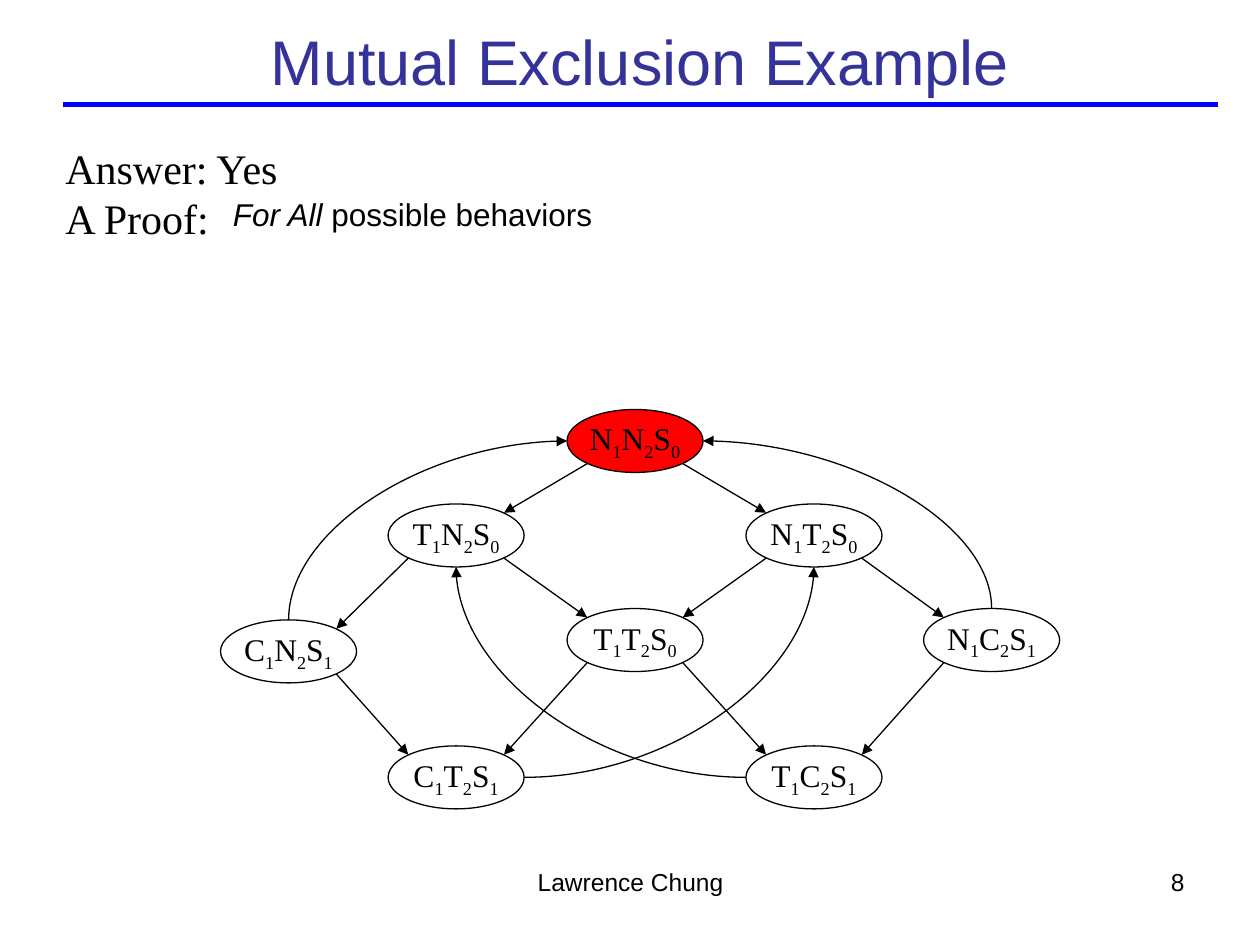
import pptx
import pptx.util
import pptx.dml.color
import pptx.enum.shapes
import pptx.enum.text
import lxml.etree

Inches = pptx.util.Inches
Pt = pptx.util.Pt
RGBColor = pptx.dml.color.RGBColor
KIND = pptx.enum.shapes.MSO_CONNECTOR
OVAL = pptx.enum.shapes.MSO_SHAPE.OVAL
ALIGN = pptx.enum.text.PP_ALIGN
MIDDLE = pptx.enum.text.MSO_ANCHOR.MIDDLE
SIZING = pptx.enum.text.MSO_AUTO_SIZE

BLACK = RGBColor(0, 0, 0)
RED = RGBColor(255, 0, 0)
BLUE = RGBColor(0, 0, 255)
NAVY = RGBColor(0x33, 0x33, 0x99)
SANS, SERIF = "Arial", "Times New Roman"
DRAW = "{http://schemas.openxmlformats.org/drawingml/2006/main}"

NODE_W, NODE_H = 1.08, 0.5
DIAG = 0.71
SITES = [(0, -1), (-DIAG, -DIAG), (-1, 0), (-DIAG, DIAG),
         (0, 1), (DIAG, DIAG), (1, 0), (DIAG, -DIAG)]
NODES = {
    "N1N2S0": (2.75, 0),
    "T1N2S0": (1.33, 0.75),
    "N1T2S0": (4.17, 0.75),
    "C1N2S1": (0, 1.67),
    "T1T2S0": (2.75, 1.58),
    "N1C2S1": (5.58, 1.58),
    "C1T2S1": (1.33, 2.67),
    "T1C2S1": (4.17, 2.67),
}
STEPS = [
    ("N1N2S0", "T1N2S0"), ("N1N2S0", "N1T2S0"),
    ("T1N2S0", "C1N2S1"), ("T1N2S0", "T1T2S0"),
    ("N1T2S0", "T1T2S0"), ("N1T2S0", "N1C2S1"),
    ("C1N2S1", "C1T2S1"), ("T1T2S0", "C1T2S1"),
    ("T1T2S0", "T1C2S1"), ("N1C2S1", "T1C2S1"),
]
RISES = [("C1N2S1", "N1N2S0"), ("N1C2S1", "N1N2S0")]
SWEEPS = [("T1C2S1", "T1N2S0"), ("C1T2S1", "N1T2S0")]


def add_run(para, text, size, font, color=BLACK):
    """Append one formatted run and return it."""
    run = para.add_run()
    run.text = text
    run.font.size = Pt(size)
    run.font.name = font
    run.font.color.rgb = color
    return run


def add_line(slide, start, end, color=BLACK, width=0.74, arrow=True, curve=False):
    """Draw a straight line or a quarter curve between two points."""
    kind = KIND.CURVE if curve else KIND.STRAIGHT
    line = slide.shapes.add_connector(kind, *map(Inches, start + end))
    line.line.color.rgb = color
    line.line.width = Pt(width)
    props = line._element.spPr
    if curve:
        props.find(DRAW + "prstGeom").set("prst", "curvedConnector2")
    if arrow:
        lxml.etree.SubElement(props.find(DRAW + "ln"), DRAW + "tailEnd", type="triangle")
    lxml.etree.SubElement(props, DRAW + "effectLst")
    return line


def add_rise(slide, start, end):
    """Draw a curve that leaves upward and arrives sideways."""
    mid_x, mid_y = (start[0] + end[0]) / 2, (start[1] + end[1]) / 2
    half_w, half_h = abs(end[1] - start[1]) / 2, abs(end[0] - start[0]) / 2
    side = 1 if end[0] > start[0] else -1
    line = add_line(slide, (mid_x + side * half_w, mid_y + half_h),
                    (mid_x - side * half_w, mid_y - half_h), curve=True)
    turn = 90 if side > 0 else 270
    line._element.spPr.find(DRAW + "xfrm").set("rot", str(turn * 60000))
    return line


def add_node(slide, label, left, top):
    """Draw one state with its digits as subscripts."""
    node = slide.shapes.add_shape(OVAL, *map(Inches, (left, top, NODE_W, NODE_H)))
    node.shadow.inherit = False
    if label == "N1N2S0":
        node.fill.solid()
        node.fill.fore_color.rgb = RED
    else:
        node.fill.background()
    node.line.color.rgb = BLACK
    node.line.width = Pt(0.74)
    frame = node.text_frame
    frame.word_wrap = False
    frame.vertical_anchor = MIDDLE
    para = frame.paragraphs[0]
    para.alignment = ALIGN.CENTER
    for char in label:
        run = add_run(para, char, 18, SERIF)
        if char.isdigit():
            run.font._element.set("baseline", "-25000")
    return node


def add_graph(slide, left, top):
    """Draw the state graph from its top left corner."""
    nodes = {label: add_node(slide, label, left + col, top + row)
             for label, (col, row) in NODES.items()}

    def point(label, site):
        col, row = NODES[label]
        across, down = SITES[site]
        return (round(left + col + NODE_W * (1 + across) / 2, 2),
                round(top + row + NODE_H * (1 + down) / 2, 2))

    def link(draw, pair, sites, **style):
        line = draw(slide, *map(point, pair, sites), **style)
        glue = line._element.nvCxnSpPr.cNvCxnSpPr
        for tag, label, site in zip(("stCxn", "endCxn"), pair, sites):
            lxml.etree.SubElement(glue, DRAW + tag, id=str(nodes[label].shape_id), idx=str(site))

    def is_right(pair):
        return NODES[pair[1]][0] > NODES[pair[0]][0]

    for pair in STEPS:
        link(add_line, pair, (5, 1) if is_right(pair) else (3, 7))
    for pair in RISES:
        link(add_rise, pair, (0, 2) if is_right(pair) else (0, 6))
    for pair in SWEEPS:
        link(add_line, pair, (6, 4) if is_right(pair) else (2, 4), curve=True)


def add_title(slide, text, *box):
    """Place the title and the rule below it."""
    title = slide.shapes.title
    title.left, title.top, title.width, title.height = map(Inches, box)
    frame = title.text_frame
    frame.auto_size = SIZING.NONE
    frame.vertical_anchor = MIDDLE
    para = frame.paragraphs[0]
    para.alignment = ALIGN.CENTER
    add_run(para, text, 36, SANS, NAVY)
    add_line(slide, (0.5, 0.83), (9.67, 0.83), color=BLUE, width=3, arrow=False)


def add_text(slide, rows, size, font, box, align=ALIGN.LEFT, wrap=False):
    """Add a text box from rows of (text, italic) runs."""
    frame = slide.shapes.add_textbox(*map(Inches, box)).text_frame
    frame.word_wrap = wrap
    frame.auto_size = SIZING.NONE if wrap else SIZING.SHAPE_TO_FIT_TEXT
    for index, row in enumerate(rows):
        para = frame.add_paragraph() if index else frame.paragraphs[0]
        para.alignment = align
        for text, italic in row:
            add_run(para, text, size, font).font.italic = italic


def add_proof(slide, left, top):
    """Place the answer and the claim beside it."""
    add_text(slide, [[("Answer: Yes", False)], [("A Proof:", False)]],
             24, SERIF, (left, top, 1.93, 0.9))
    add_text(slide, [[("For All", True), (" possible behaviors", False)]],
             18, SANS, (left + 1.33, top + 0.42, 3.06, 0.4))


def add_footer(slide, top):
    """Place the author and the page number."""
    add_text(slide, [[("Lawrence Chung", False)]], 14, SANS,
             (3.42, top, 3.17, 0.52), ALIGN.CENTER, True)
    add_text(slide, [[("8", False)]], 14, SANS,
             (7.17, top, 2.33, 0.52), ALIGN.RIGHT, True)


def main():
    """Build and save the slide."""
    deck = pptx.Presentation()
    deck.slide_width, deck.slide_height = Inches(10), Inches(7.5)
    slide = deck.slides.add_slide(deck.slide_layouts[5])
    add_title(slide, "Mutual Exclusion Example", 0.58, 0.17, 9, 0.62)
    add_graph(slide, 1.75, 3.25)
    add_proof(slide, 0.42, 1.08)
    add_footer(slide, 6.83)
    deck.save("out.pptx")


main()
